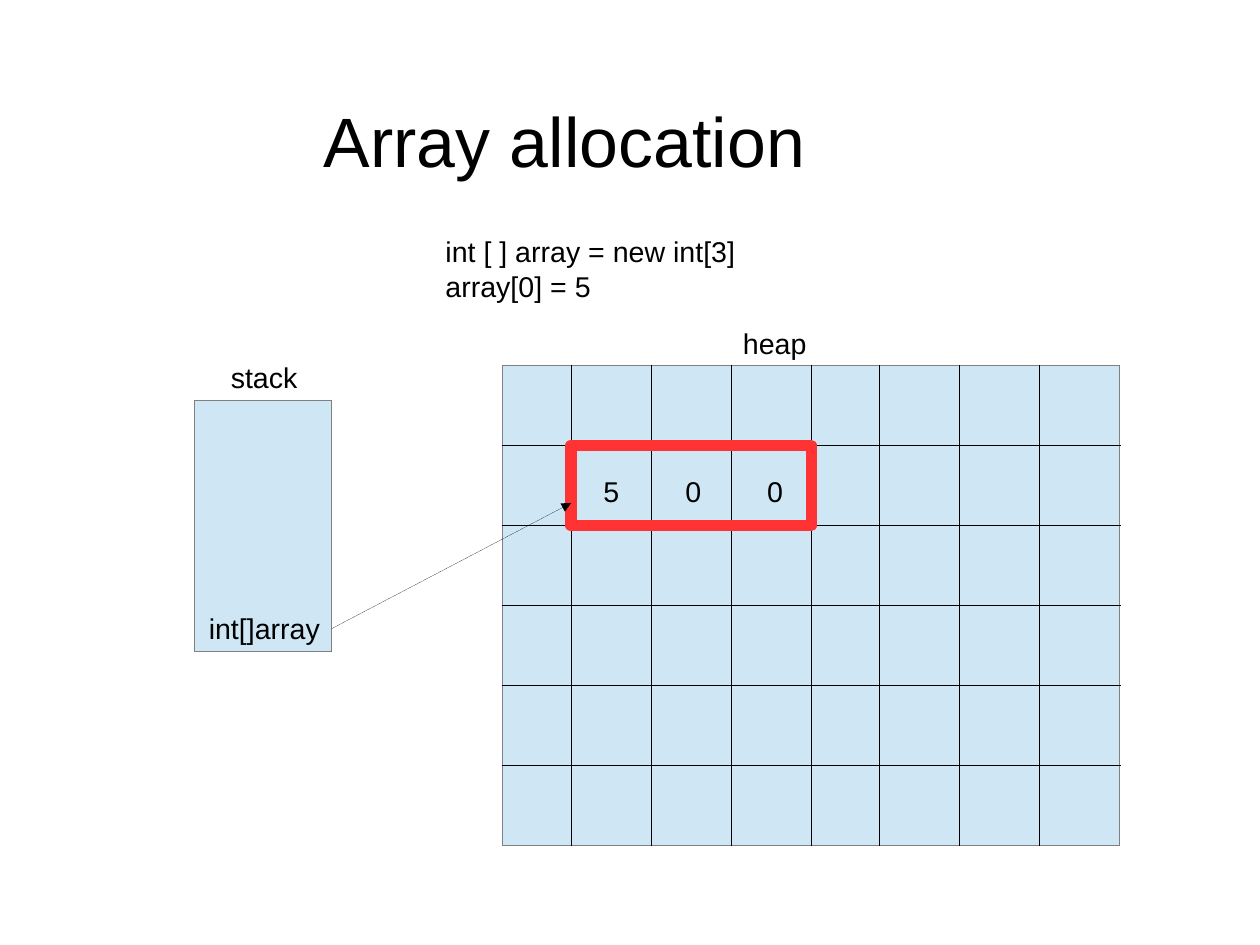
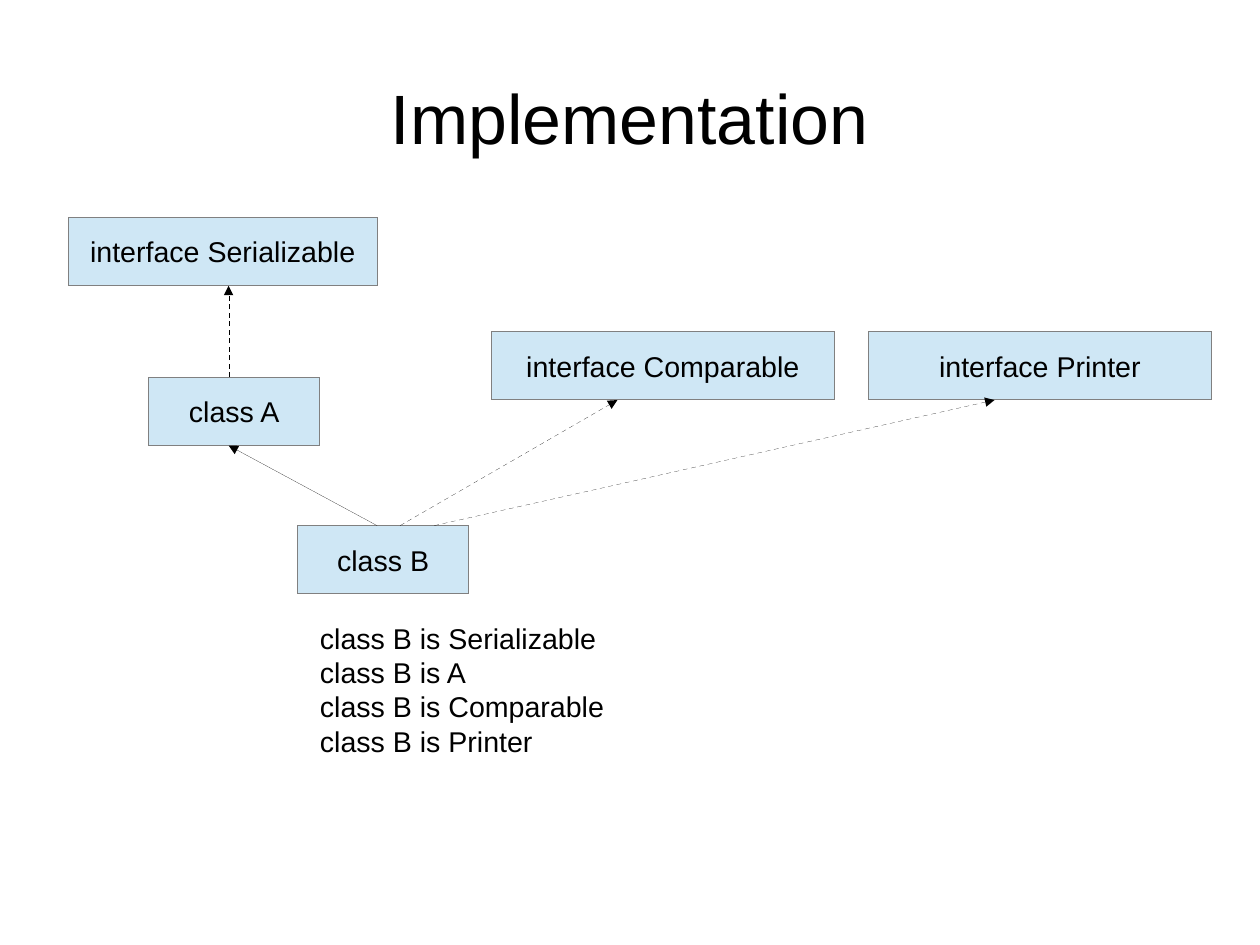
from itertools import accumulate

from lxml import etree
from pptx import Presentation
from pptx.dml.color import RGBColor
from pptx.enum.dml import MSO_LINE
from pptx.enum.shapes import MSO_CONNECTOR, MSO_SHAPE
from pptx.enum.text import MSO_ANCHOR, PP_ALIGN
from pptx.oxml.ns import qn
from pptx.util import Cm, Pt

# Shared style
COLORS = {"text": "000000", "box": "CFE7F5", "edge": "808080",
          "line": "000000", "mark": "FF3333"}
FONT = "Arial"
BODY, TITLE = 18, 44
HAIRLINE = 0.01

# Heap grid, in cm
HEAP_LEFT, HEAP_TOP = 11.17, 8.12
NARROW, CELL = 1.52, 1.78
COLUMNS = [NARROW, CELL, CELL, CELL] * 2
ROWS = [CELL] * 6


def color(name):
    return RGBColor.from_string(COLORS[name])


def set_text(shape, text, size=BODY, align=PP_ALIGN.LEFT, anchor=MSO_ANCHOR.TOP):
    tf = shape.text_frame
    tf.text = text
    tf.word_wrap = True
    tf.vertical_anchor = anchor
    for p in tf.paragraphs:
        p.alignment = align
        for r in p.runs:
            r.font.name = FONT
            r.font.size = Pt(size)
            r.font.color.rgb = color("text")


def add_text(s, text, left, top, width, height=0.97, **style):
    sp = s.shapes.add_textbox(Cm(left), Cm(top), Cm(width), Cm(height))
    set_text(sp, text, **style)


def add_title(s, text, left, top):
    add_text(s, text, left, top, 25.2, 3.51, size=TITLE,
             align=PP_ALIGN.CENTER, anchor=MSO_ANCHOR.MIDDLE)


def add_box(s, left, top, width, height, text="", fill="box", edge="edge",
            weight=HAIRLINE):
    sp = s.shapes.add_shape(MSO_SHAPE.RECTANGLE, Cm(left), Cm(top),
                            Cm(width), Cm(height))
    sp.shadow.inherit = False
    if fill:
        sp.fill.solid()
        sp.fill.fore_color.rgb = color(fill)
    else:
        sp.fill.background()
    sp.line.color.rgb = color(edge)
    sp.line.width = Pt(weight)
    if text:
        set_text(sp, text, align=PP_ALIGN.CENTER, anchor=MSO_ANCHOR.MIDDLE)


def add_line(s, x1, y1, x2, y2, arrow=False, dashed=False):
    line = s.shapes.add_connector(MSO_CONNECTOR.STRAIGHT,
                                  Cm(x1), Cm(y1), Cm(x2), Cm(y2))
    line.line.color.rgb = color("line")
    line.line.width = Pt(HAIRLINE)
    if dashed:
        line.line.dash_style = MSO_LINE.DASH
    sp_pr = line._element.spPr
    if arrow:
        etree.SubElement(sp_pr.find(qn("a:ln")), qn("a:tailEnd"), type="triangle")
    etree.SubElement(sp_pr, qn("a:effectLst"))


def add_heap(s):
    width, height = sum(COLUMNS), sum(ROWS)
    add_box(s, HEAP_LEFT, HEAP_TOP, width, height)
    for x in accumulate(COLUMNS[1:-1], initial=HEAP_LEFT + COLUMNS[0]):
        add_line(s, x, HEAP_TOP, x, HEAP_TOP + height)
    for y in accumulate(ROWS[1:-1], initial=HEAP_TOP + ROWS[0]):
        add_line(s, HEAP_LEFT, y, HEAP_LEFT + width, y)


def array_slide(s):
    add_title(s, "Array allocation", -0.05, 1.35)
    add_text(s, "int [ ] array = new int[3]\narray[0] = 5", 9.65, 5.08, 7.5, 1.68)

    # Stack and heap
    add_box(s, 4.32, 8.89, 3.05, 5.59)
    add_heap(s)
    add_text(s, "stack", 4.88, 7.87, 2.5)
    add_text(s, "heap", 16.26, 7.11, 2.5)
    add_text(s, "int[]array", 4.39, 13.46, 3.5)

    # Allocated array
    array_left, array_top = HEAP_LEFT + NARROW, HEAP_TOP + CELL
    for i, value in enumerate("500"):
        add_text(s, value, 13.16 + 1.82 * i, 10.4, 0.86)
    add_box(s, array_left, array_top, 3 * CELL, CELL, fill=None, edge="mark",
            weight=7.2)
    add_line(s, 7.37, 13.97, array_left, 11.18, arrow=True)


def implementation_slide(s):
    add_title(s, "Implementation", 1.4, 0.84)

    # Classes and interfaces
    for text, left, top, width in [
        ("class A", 3.3, 8.38, 3.81),
        ("class B", 6.61, 11.68, 3.81),
        ("interface Serializable", 1.52, 4.83, 6.86),
        ("interface Comparable", 10.92, 7.37, 7.62),
        ("interface Printer", 19.3, 7.37, 7.62),
    ]:
        add_box(s, left, top, width, 1.52, text)

    # Inheritance is solid, implementation is dashed
    for x1, y1, x2, y2, dashed in [
        (8.38, 11.68, 5.08, 9.9, False),
        (5.08, 8.38, 5.08, 6.35, True),
        (8.89, 11.68, 13.72, 8.89, True),
        (9.65, 11.68, 22.1, 8.89, True),
    ]:
        add_line(s, x1, y1, x2, y2, arrow=True, dashed=dashed)

    types = ["Serializable", "A", "Comparable", "Printer"]
    add_text(s, "\n".join(f"class B is {t}" for t in types), 6.86, 13.67, 8.38, 3.1)


def main():
    prs = Presentation()
    prs.slide_width, prs.slide_height = Cm(28), Cm(21)
    for build in (array_slide, implementation_slide):
        build(prs.slides.add_slide(prs.slide_layouts[6]))
    prs.save("out.pptx")


if __name__ == "__main__":
    main()
